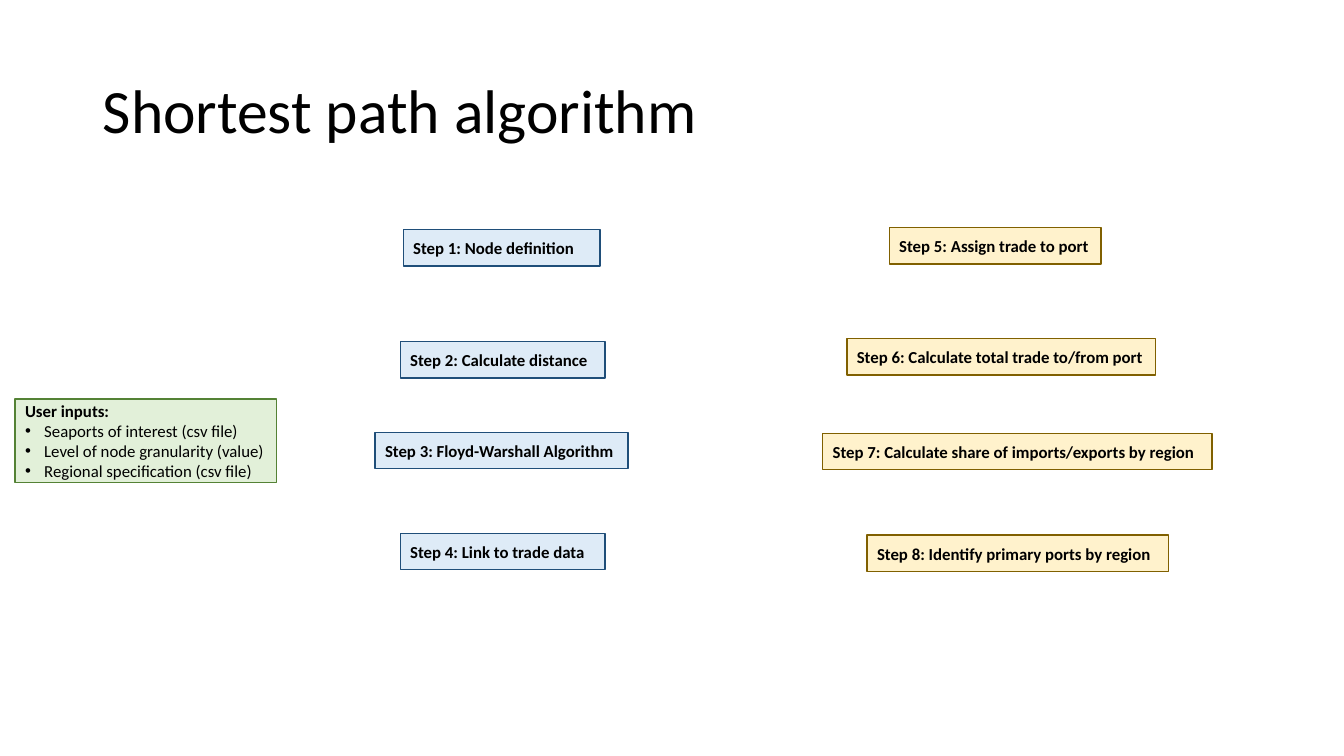
from lxml.etree import SubElement as Sub
from pptx import Presentation
from pptx.dml.color import RGBColor as Rgb
from pptx.enum.shapes import MSO_SHAPE as Shape
from pptx.enum.text import MSO_ANCHOR as Anchor, PP_ALIGN as Align
from pptx.oxml.ns import qn
from pptx.util import Inches, Pt

HUES = {
    "text": "000000",
    "green": "E2F0D9", "green line": "548235",
    "blue": "DEEBF7", "blue line": "1F4E79",
    "gold": "FFF2CC", "gold line": "806000",
}
FONT = "Calibri"
STEP_H = 0.36

# Steps: shift from the column's left, shift from its top, width, label
NODES = [
    (0.28, 0, 1.95, "Step 1: Node definition"),
    (0.25, 1.11, 2.03, "Step 2: Calculate distance"),
    (0, 2.01, 2.51, "Step 3: Floyd-Warshall Algorithm"),
    (0.25, 3.01, 2.03, "Step 4: Link to trade data"),
]
PORTS = [
    (0.66, 0, 2.1, "Step 5: Assign trade to port"),
    (0.24, 1.1, 3.06, "Step 6: Calculate total trade to/from port"),
    (0, 2.04, 3.86, "Step 7: Calculate share of imports/exports by region"),
    (0.44, 3.05, 2.99, "Step 8: Identify primary ports by region"),
]
INPUTS = [
    "Seaports of interest (csv file)",
    "Level of node granularity (value)",
    "Regional specification (csv file)",
]


def style(para, size, bold=False):
    para.alignment = Align.LEFT
    font = para.font
    font.name, font.size, font.bold = FONT, Pt(size), bold
    font.color.rgb = Rgb.from_string(HUES["text"])


def bullet(para):
    props = para._p.get_or_add_pPr()
    props.set("marL", str(Inches(0.19)))
    props.set("indent", str(Inches(-0.19)))
    Sub(props, qn("a:buFont"), typeface="Arial")
    Sub(props, qn("a:buChar"), char="•")


def panel(slide, box, hue, head):
    """Draw a framed box with a bold first line; return its text frame."""
    rect = slide.shapes.add_shape(Shape.RECTANGLE, *map(Inches, box))
    rect.shadow.inherit = False
    rect.fill.solid()
    rect.fill.fore_color.rgb = Rgb.from_string(HUES[hue])
    rect.line.color.rgb = Rgb.from_string(HUES[hue + " line"])
    rect.line.width = Pt(1)
    frame = rect.text_frame
    frame.word_wrap = True
    frame.vertical_anchor = Anchor.MIDDLE
    frame.text = head
    style(frame.paragraphs[0], 12, True)
    return frame


def heading(slide, box, text):
    title = slide.shapes.title
    title.left, title.top, title.width, title.height = map(Inches, box)
    frame = title.text_frame
    frame.text = text
    frame.vertical_anchor = Anchor.MIDDLE
    para = frame.paragraphs[0]
    para.line_spacing = 0.9
    style(para, 44)


def inputs(slide, box):
    frame = panel(slide, box, "green", "User inputs:")
    for item in INPUTS:
        para = frame.add_paragraph()
        para.text = item
        bullet(para)
        style(para, 12)


def column(slide, left, top, hue, steps):
    for dx, dy, width, label in steps:
        panel(slide, (left + dx, top + dy, width, STEP_H), hue, label)


def main():
    deck = Presentation()
    deck.slide_width, deck.slide_height = Inches(13.33), Inches(7.5)
    slide = deck.slides.add_slide(deck.slide_layouts[5])
    heading(slide, (0.92, 0.4, 11.5, 1.45), "Shortest path algorithm")
    inputs(slide, (0.15, 3.96, 2.59, 0.83))
    column(slide, 3.72, 2.28, "blue", NODES)
    column(slide, 8.16, 2.26, "gold", PORTS)
    deck.save("out.pptx")


if __name__ == "__main__":
    main()
